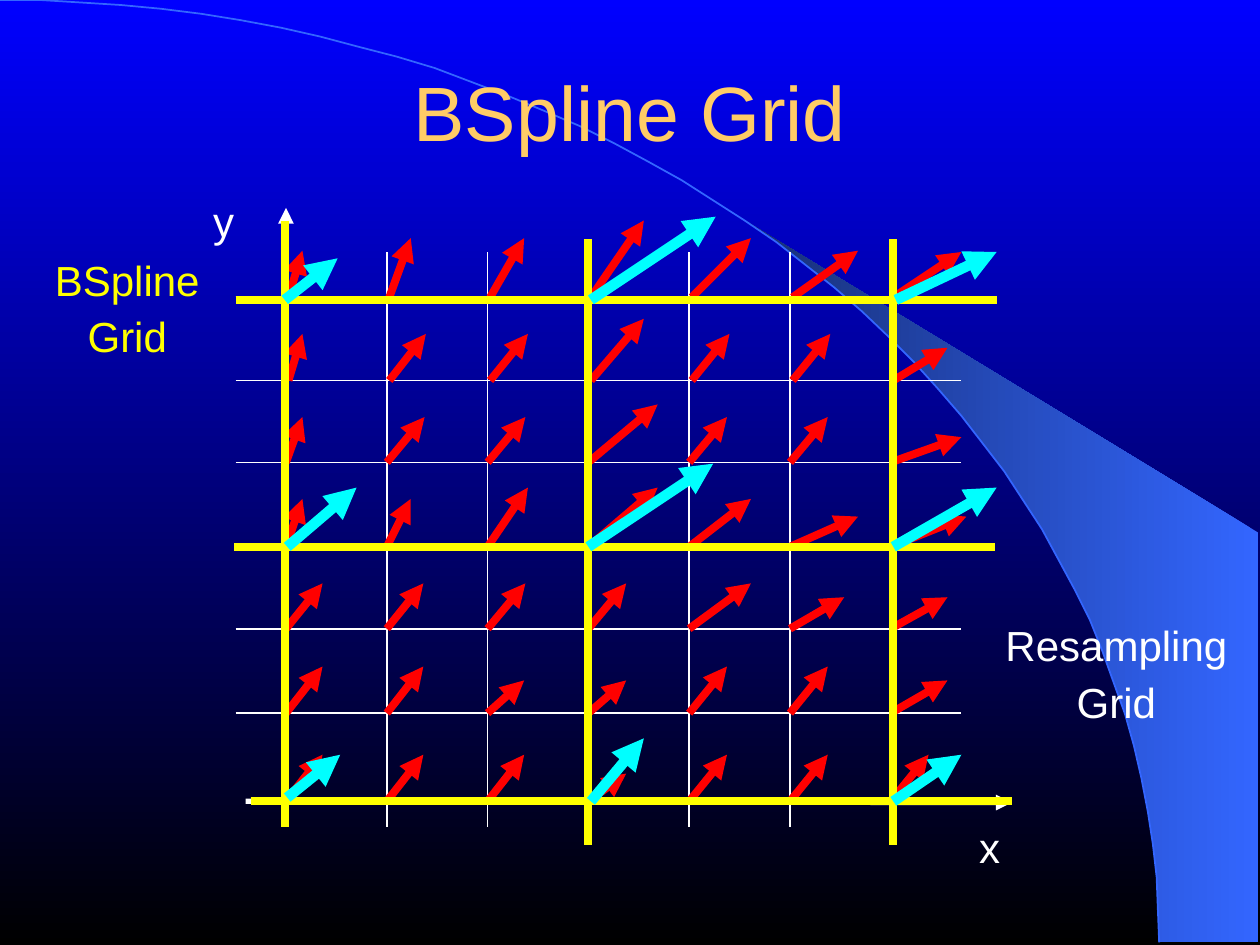
import math

import lxml.etree
import pptx
import pptx.dml.color
import pptx.enum.shapes
import pptx.enum.text
import pptx.oxml.ns
import pptx.util

PX = 9144  # EMU per px, 100 px to the inch
FONT = "Arial"
COLORS = {
    "sky": "0000FF", "night": "000000", "band": "3366FF", "band_dark": "172F75",
    "title": "FFCC66", "fine": "FFFFFF", "coarse": "FFFF00",
    "fine_vector": "FF0000", "coarse_vector": "00FFFF",
}


def rgb(name):
    return pptx.dml.color.RGBColor.from_string(COLORS[name])


def draw_line(group, start, end, color, width, arrow=False):
    line = group.shapes.add_connector(
        pptx.enum.shapes.MSO_CONNECTOR.STRAIGHT, *(PX * v for v in (*start, *end)))
    line.line.color.rgb = rgb(color)
    line.line.width = pptx.util.Pt(width)
    properties = line.element.spPr
    if arrow:
        outline = properties.find(pptx.oxml.ns.qn("a:ln"))
        lxml.etree.SubElement(outline, pptx.oxml.ns.qn("a:tailEnd"), type="triangle")
    lxml.etree.SubElement(properties, pptx.oxml.ns.qn("a:effectLst"))


deck = pptx.Presentation()
deck.slide_width, deck.slide_height = 1000 * PX, 750 * PX
page = deck.slides.add_slide(deck.slide_layouts[5])

# Background: vertical gradient, a quarter ellipse and the band to its right
sky = page.background.fill
sky.gradient()
sky.gradient_angle = 270
for stop, name in zip(sky.gradient_stops, ("sky", "night")):
    stop.color.rgb = rgb(name)

arc = [(round(920 * math.sin(math.radians(a)), 2), round(748 * (1 - math.cos(math.radians(a))), 2))
       for a in range(0, 91, 2)]
backdrop = page.shapes.add_group_shape()

builder = backdrop.shapes.build_freeform(999, 748, scale=PX)
builder.add_line_segments([(999, 423)] + arc[20:], close=True)
band = builder.convert_to_shape()
band.shadow.inherit = False
band.line.fill.background()
band.fill.gradient()
band.fill.gradient_angle = 180
for stop, name in zip(band.fill.gradient_stops, ("band", "band_dark")):
    stop.color.rgb = rgb(name)

builder = backdrop.shapes.build_freeform(*arc[0], scale=PX)
builder.add_line_segments(arc[1:], close=False)
curve = builder.convert_to_shape()
curve.shadow.inherit = False
curve.fill.background()
curve.line.color.rgb = rgb("band")
curve.line.width = pptx.util.Pt(1)

# Title, in front of the backdrop
title = page.shapes.title
title.element.addprevious(backdrop.element)
title.left, title.top, title.width, title.height = (PX * v for v in (75, 12, 850, 151))
frame = title.text_frame
frame.margin_left = frame.margin_right = frame.margin_top = frame.margin_bottom = 0
frame.auto_size = pptx.enum.text.MSO_AUTO_SIZE.NONE
frame.vertical_anchor = pptx.enum.text.MSO_ANCHOR.MIDDLE
para = frame.paragraphs[0]
para.alignment = pptx.enum.text.PP_ALIGN.CENTER
span = para.add_run()
span.text = "BSpline Grid"
span.font.size = pptx.util.Pt(44)
span.font.name = FONT
span.font.color.rgb = rgb("title")

# Axes and fine (resampling) grid
columns = [227 + 80 * i for i in range(7)]
rows = [236, 302, 367, 434, 499, 566, 636]
fine_grid = page.shapes.add_group_shape()
draw_line(fine_grid, (226, 655), (227, 165), "fine", 3, arrow=True)
draw_line(fine_grid, (195, 636), (803, 637), "fine", 3, arrow=True)
for y in rows[:-1]:
    draw_line(fine_grid, (187, y), (763, y), "fine", 1)
for x in columns[1:] + [707]:
    draw_line(fine_grid, (x, 200), (x, 656), "fine", 1)

# One vector per fine grid node: tips from left to right, rows from top to bottom
fine_tips = [
    [(240, 199), (326, 189), (416, 189), (511, 175), (596, 189), (681, 199), (763, 200)],
    [(240, 265), (338, 265), (419, 265), (511, 253), (579, 265), (659, 265), (752, 276)],
    [(240, 331), (337, 331), (417, 331), (522, 321), (577, 331), (657, 331), (763, 347)],
    [(240, 396), (326, 396), (419, 387), (522, 387), (596, 396), (681, 410), (767, 410)],
    [(256, 463), (336, 463), (417, 463), (497, 463), (596, 463), (670, 474), (752, 474)],
    [(256, 529), (336, 529), (416, 540), (497, 540), (577, 529), (657, 529), (752, 540)],
    [(256, 599), (336, 599), (416, 599), (497, 614), (577, 599), (657, 599), (737, 599)],
]
fine_vectors = page.shapes.add_group_shape()
for row, (y, tips) in enumerate(zip(rows, fine_tips)):
    shift = 2 if row < 2 else 0
    for x, tip in zip(columns, tips):
        draw_line(fine_vectors, (x + shift, y), tip, "fine_vector", 4.5, arrow=True)

# Coarse (BSpline) grid
coarse_grid = page.shapes.add_group_shape()
for x, top in ((226, 175), (467, 190), (709, 190)):
    draw_line(coarse_grid, (x, top), (x, top + 481), "coarse", 4.5)
for left, y in ((199, 636), (186, 434), (187, 238)):
    draw_line(coarse_grid, (left, y), (left + 604, y), "coarse", 4.5)

coarse_vectors = page.shapes.add_group_shape()
for node, tip in [
    ((467, 434), (566, 368)), ((709, 434), (791, 387)), ((469, 238), (568, 172)),
    ((469, 636), (511, 586)), ((709, 636), (763, 599)), ((711, 238), (791, 200)),
    ((228, 434), (283, 387)), ((228, 633), (270, 599)), ((226, 238), (268, 205)),
]:
    draw_line(coarse_vectors, node, tip, "coarse_vector", 6, arrow=True)

# Labels
for place, lines, color, spacing in [
    ((159, 158, 37, 42), ["y"], "fine", 0.8),
    ((767, 655, 37, 42), ["x"], "fine", 0.8),
    ((24, 211, 154, 79), ["BSpline", "Grid"], "coarse", 0.6),
    ((787, 501, 198, 79), ["Resampling", "Grid"], "fine", 0.6),
]:
    box = page.shapes.add_textbox(*(PX * v for v in place))
    frame = box.text_frame
    frame.word_wrap = True
    frame.auto_size = pptx.enum.text.MSO_AUTO_SIZE.SHAPE_TO_FIT_TEXT
    for i, text in enumerate(lines):
        para = frame.add_paragraph() if i else frame.paragraphs[0]
        para.alignment = pptx.enum.text.PP_ALIGN.CENTER
        para.line_spacing = spacing
        para.space_before = pptx.util.Pt(15 if i else 0)
        span = para.add_run()
        span.text = text
        span.font.size = pptx.util.Pt(24)
        span.font.name = FONT
        span.font.color.rgb = rgb(color)

deck.save("out.pptx")
